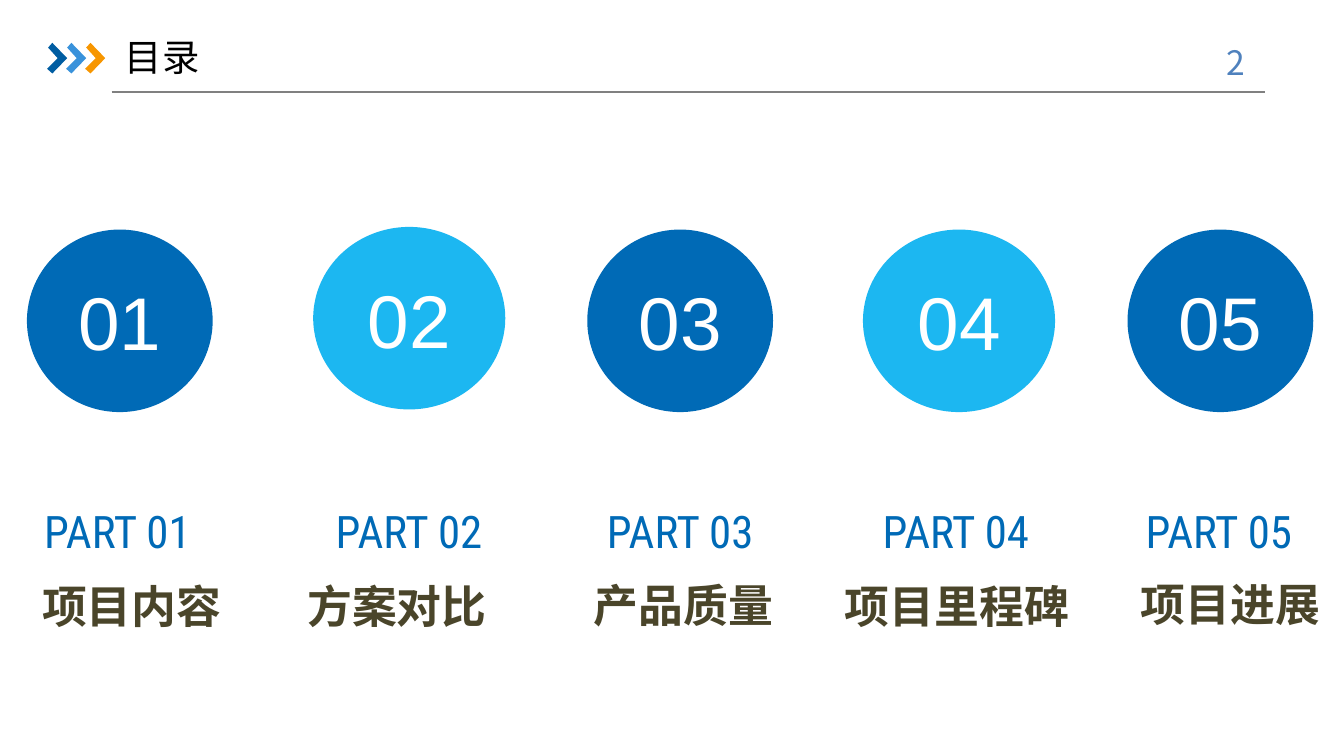
from dataclasses import dataclass

from lxml import etree
from pptx import Presentation
from pptx.dml.color import RGBColor
from pptx.enum.shapes import MSO_CONNECTOR, MSO_SHAPE
from pptx.enum.text import MSO_ANCHOR, PP_ALIGN
from pptx.oxml.ns import qn
from pptx.util import Cm, Pt

COLORS = {
    "navy": "005DA2",
    "sky": "3992DB",
    "orange": "F79600",
    "rule": "808080",
    "page": "4F81BD",
    "blue": "006AB6",
    "cyan": "1CB7F1",
    "olive": "4A452A",
    "black": "000000",
    "white": "FFFFFF",
}
CJK_FONT = "Noto Sans CJK SC"
PART_FONT = "Roboto Condensed"
NUMBER_FONT = "Arial"

# One chevron, in hundredths of a centimetre
CHEVRON = [(2, 9), (10, 0), (38, 29), (10, 58), (0, 49), (20, 29)]
CHEVRON_LEFT, CHEVRON_TOP, CHEVRON_STEP = 89, 81, 36


@dataclass(frozen=True)
class Span:
    left: float
    top: float
    width: float


@dataclass(frozen=True)
class Section:
    title: str
    circle: Span
    color: str
    label: Span
    heading: Span
    heading_align: PP_ALIGN = PP_ALIGN.LEFT


SECTIONS = [
    Section("项目内容", Span(0.51, 4.34, 3.51), "blue",
            Span(0.43, 9.4, 3.58), Span(0, 10.82, 4.98), PP_ALIGN.CENTER),
    Section("方案对比", Span(5.92, 4.29, 3.63), "cyan",
            Span(5.94, 9.4, 3.58), Span(5.56, 10.82, 4.32)),
    Section("产品质量", Span(11.1, 4.34, 3.51), "blue",
            Span(10.8, 9.4, 4.11), Span(10.97, 10.8, 4.14)),
    Section("项目里程碑", Span(16.31, 4.34, 3.63), "cyan",
            Span(16.31, 9.4, 3.51), Span(15.72, 10.82, 4.8)),
    Section("项目进展", Span(21.31, 4.34, 3.51), "blue",
            Span(20.98, 9.4, 4.11), Span(21.31, 10.77, 3.96)),
]


def rgb(name: str) -> RGBColor:
    return RGBColor.from_string(COLORS[name])


def write_text(shape, text: str, *, size: float, font: str, color: str,
               bold: bool = False, align: PP_ALIGN = PP_ALIGN.LEFT,
               anchor: MSO_ANCHOR = MSO_ANCHOR.TOP) -> None:
    frame = shape.text_frame
    frame.word_wrap = True
    frame.vertical_anchor = anchor
    paragraph = frame.paragraphs[0]
    paragraph.alignment = align
    run = paragraph.add_run()
    run.text = text
    run.font.size = Pt(size)
    run.font.name = font
    run.font.bold = bold
    run.font.color.rgb = rgb(color)
    # East Asian characters take their own typeface
    east_asian = etree.SubElement(run.font._element, qn("a:ea"))
    east_asian.set("typeface", font)


def add_label(slide, span: Span, height: float, text: str, **text_format) -> None:
    box = slide.shapes.add_textbox(
        Cm(span.left), Cm(span.top), Cm(span.width), Cm(height))
    write_text(box, text, **text_format)


def paint(shape, color: str) -> None:
    shape.shadow.inherit = False
    shape.fill.solid()
    shape.fill.fore_color.rgb = rgb(color)
    shape.line.fill.background()


def add_chevron(slide, index: int, color: str) -> None:
    left = CHEVRON_LEFT + index * CHEVRON_STEP
    start, *rest = [(left + x, CHEVRON_TOP + y) for x, y in CHEVRON]
    outline = slide.shapes.build_freeform(*start, scale=Cm(0.01))
    outline.add_line_segments(rest, close=True)
    paint(outline.convert_to_shape(), color)


def add_header(slide) -> None:
    rule = slide.shapes.add_connector(
        MSO_CONNECTOR.STRAIGHT, Cm(2.11), Cm(1.74), Cm(23.9), Cm(1.74))
    rule.line.color.rgb = rgb("rule")
    rule.line.width = Pt(0.75)
    etree.SubElement(rule._element.spPr, qn("a:effectLst"))
    for index, color in enumerate(("navy", "sky", "orange")):
        add_chevron(slide, index, color)
    add_label(slide, Span(22.5, 0.66, 1.85), 1.02, "2 ", size=18,
              font=CJK_FONT, color="page", align=PP_ALIGN.CENTER)
    add_label(slide, Span(2.11, 0.53, 4.8), 1.12, "目录", size=20,
              font=CJK_FONT, color="black")


def add_section(slide, number: int, section: Section) -> None:
    spot = section.circle
    circle = slide.shapes.add_shape(
        MSO_SHAPE.OVAL, Cm(spot.left), Cm(spot.top), Cm(spot.width), Cm(3.45))
    paint(circle, section.color)
    write_text(circle, f"{number:02}", size=40, font=NUMBER_FONT, color="white",
               align=PP_ALIGN.CENTER, anchor=MSO_ANCHOR.MIDDLE)
    add_label(slide, section.label, 1.27, f"PART {number:02}", size=24,
              font=PART_FONT, color="blue", align=PP_ALIGN.CENTER)
    add_label(slide, section.heading, 1.27, section.title, size=24, bold=True,
              font=CJK_FONT, color="olive", align=section.heading_align)


def main() -> None:
    deck = Presentation()
    deck.slide_width, deck.slide_height = Cm(25.4), Cm(14.29)
    slide = deck.slides.add_slide(deck.slide_layouts[6])

    # Title bar with chevrons and page number
    add_header(slide)

    # Five numbered sections
    for number, section in enumerate(SECTIONS, start=1):
        add_section(slide, number, section)

    deck.save("out.pptx")


if __name__ == "__main__":
    main()
